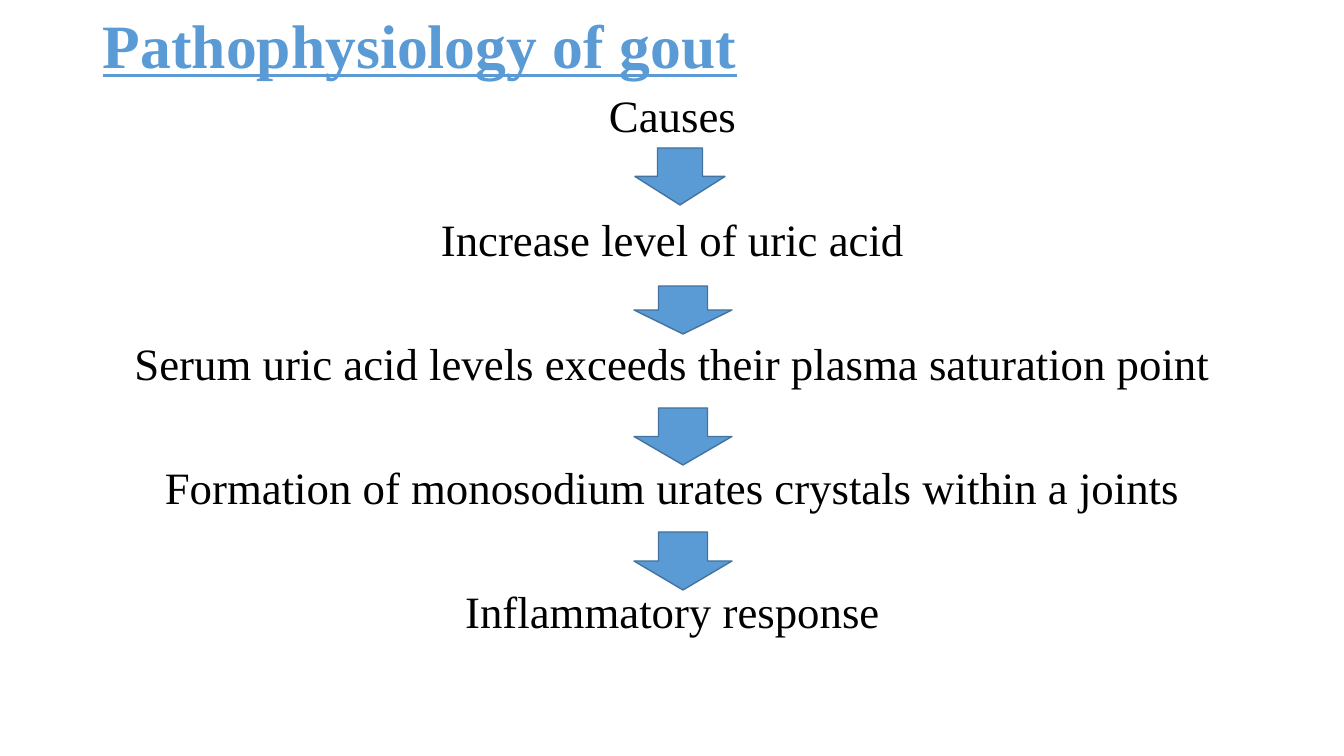
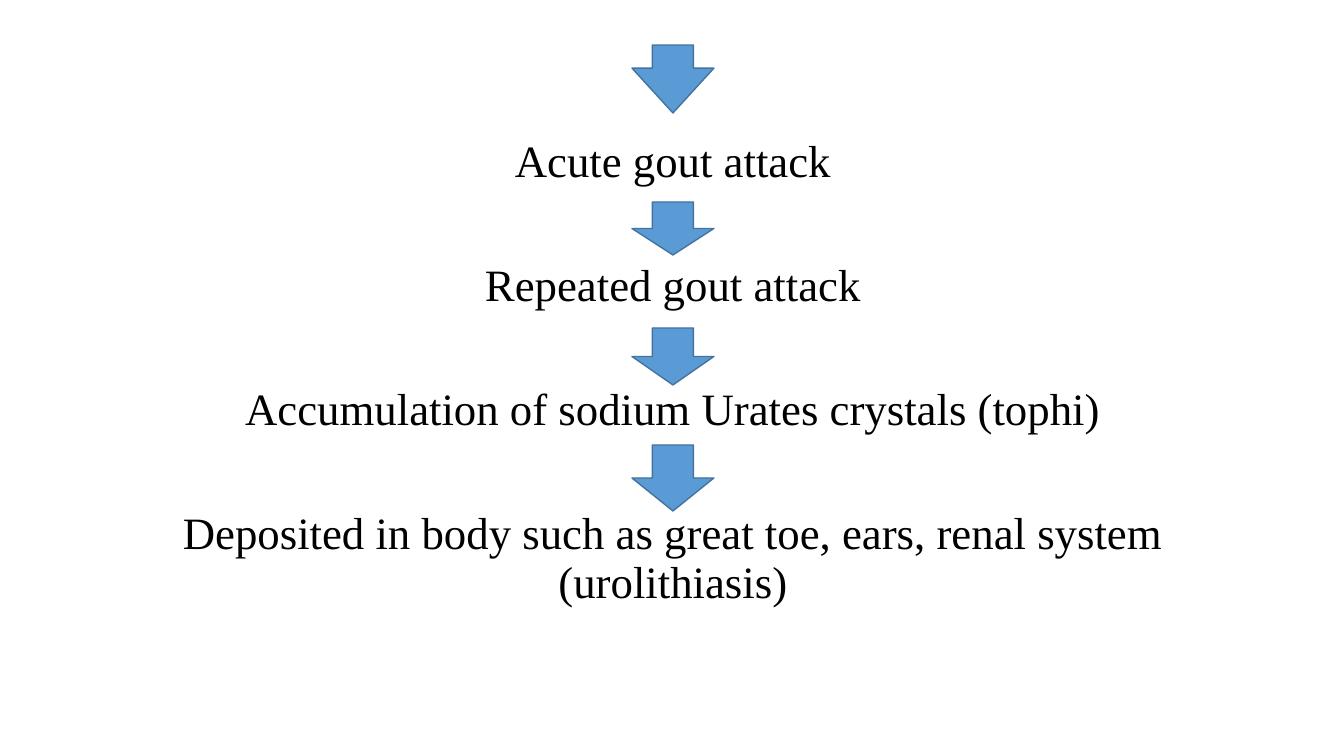
from dataclasses import dataclass

from pptx import Presentation
from pptx import util as u
from pptx.dml.color import RGBColor
from pptx.enum import shapes, text

EMU_PER_PX = 914400 / 100.8
SLIDE_W, SLIDE_H = 1344, 756

BLUE = RGBColor(0x5B, 0x9B, 0xD5)
DARK_BLUE = RGBColor(0x43, 0x73, 0x9E)
BLACK = RGBColor(0, 0, 0)
FONT = "Times New Roman"
STEP_GAP = 54  # points between the steps of a flow


@dataclass(frozen=True)
class Box:
    x: int
    y: int
    w: int
    h: int


@dataclass(frozen=True)
class Arrow:
    box: Box
    head: float = 0.5


@dataclass(frozen=True)
class Flow:
    box: Box
    steps: list[str]
    arrows: list[Arrow]
    title: str = ""


TITLE_BOX = Box(93, 8, 1159, 81)

FLOWS = [
    Flow(
        Box(93, 89, 1159, 657),
        ["Causes",
         "Increase level of uric acid",
         "Serum uric acid levels exceeds their plasma saturation point",
         "Formation of monosodium urates crystals within a joints",
         "Inflammatory response"],
        [Arrow(Box(635, 148, 90, 57)),
         *(Arrow(Box(634, y, 98, h)) for y, h in ((286, 48), (408, 57), (532, 58)))],
        title="Pathophysiology of gout",
    ),
    Flow(
        Box(95, 134, 1156, 596),
        ["Acute gout attack",
         "Repeated gout attack",
         "Accumulation of sodium Urates crystals (tophi)",
         "Deposited in body such as great toe, ears, renal system (urolithiasis)"],
        [Arrow(Box(632, 45, 82, 68), head=0.66),
         *(Arrow(Box(632, y, 82, h)) for y, h in ((202, 53), (328, 57), (445, 66)))],
    ),
]


def px(n: int) -> u.Emu:
    return u.Emu(round(n * EMU_PER_PX))


def place(box: Box) -> tuple[u.Emu, ...]:
    return px(box.x), px(box.y), px(box.w), px(box.h)


def add_text(slide, box: Box, lines: list[str], *, size: int, color: RGBColor = BLACK,
             bold: bool = False, underline: bool = False, gap: float = 0,
             align=text.PP_ALIGN.LEFT, anchor=text.MSO_ANCHOR.TOP) -> None:
    tf = slide.shapes.add_textbox(*place(box)).text_frame
    tf.word_wrap = True
    tf.vertical_anchor = anchor
    for i, line in enumerate(lines):
        p = tf.add_paragraph() if i else tf.paragraphs[0]
        p.alignment = align
        p.line_spacing = 0.9
        if i:
            p.space_before = u.Pt(gap)
        r = p.add_run()
        r.text = line
        r.font.name, r.font.size = FONT, u.Pt(size)
        r.font.bold, r.font.underline = bold, underline
        r.font.color.rgb = color


def add_arrow(slide, arrow: Arrow) -> None:
    sp = slide.shapes.add_shape(shapes.MSO_SHAPE.DOWN_ARROW, *place(arrow.box))
    sp.adjustments[1] = arrow.head
    sp.shadow.inherit = False
    sp.fill.solid()
    sp.fill.fore_color.rgb = BLUE
    sp.line.color.rgb = DARK_BLUE
    sp.line.width = u.Pt(1)


def add_flow(prs, flow: Flow) -> None:
    slide = prs.slides.add_slide(prs.slide_layouts[6])
    if flow.title:
        add_text(slide, TITLE_BOX, [flow.title], size=44, color=BLUE, bold=True,
                 underline=True, anchor=text.MSO_ANCHOR.MIDDLE)
    add_text(slide, flow.box, flow.steps, size=32, gap=STEP_GAP,
             align=text.PP_ALIGN.CENTER)
    for arrow in flow.arrows:
        add_arrow(slide, arrow)


def main() -> None:
    prs = Presentation()
    prs.slide_width, prs.slide_height = px(SLIDE_W), px(SLIDE_H)
    for flow in FLOWS:
        add_flow(prs, flow)
    prs.save("out.pptx")


if __name__ == "__main__":
    main()
